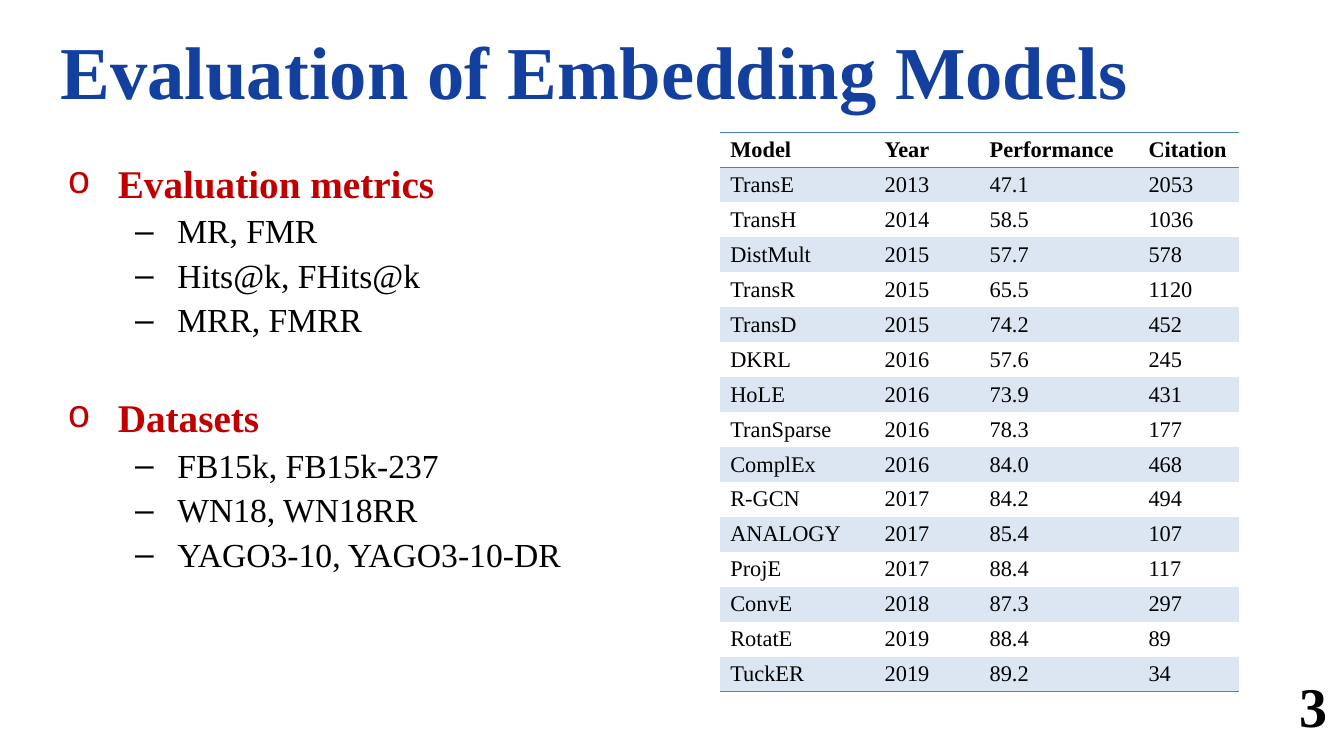
"""Build the slide on the evaluation of embedding models."""
from dataclasses import dataclass
from typing import Any

from lxml.etree import SubElement
from pptx import Presentation
from pptx.dml.color import RGBColor
from pptx.enum.text import MSO_ANCHOR, MSO_AUTO_SIZE, PP_ALIGN
from pptx.oxml.ns import qn
from pptx.util import Pt

BLUE = RGBColor(0x13, 0x40, 0x9F)
RED = RGBColor(0xC0, 0x00, 0x00)
BLACK = RGBColor(0x00, 0x00, 0x00)
RULE = RGBColor(0x4F, 0x81, 0xBD)
BAND = RGBColor(0xDC, 0xE6, 0xF2)
FACE = "Times New Roman"
PLAIN = "{2D5ABB26-0587-4C30-8999-92F81FD0307C}"


@dataclass(frozen=True)
class Style:
    size: float
    color: RGBColor
    bold: bool = False


@dataclass(frozen=True)
class Level:
    style: Style
    depth: int
    mark: str
    face: str
    left: float
    hang: float
    gap: float


@dataclass(frozen=True)
class Group:
    head: str
    items: tuple[str, ...]


TITLE = Style(53.3, BLUE, True)
PAGE = Style(40, BLACK, True)
HEAD = Style(16, BLACK, True)
CELL = Style(16, BLACK)
TOP = Level(Style(28, RED, True), 0, "o", "Courier New", 36, 36, 42)
SUB = Level(Style(24, BLACK), 1, "–", "Arial", 78.5, 30.25, 5.8)

GROUPS = (
    Group("Evaluation metrics", ("MR, FMR", "Hits@k, FHits@k", "MRR, FMRR")),
    Group("Datasets", ("FB15k, FB15k-237", "WN18, WN18RR", "YAGO3-10, YAGO3-10-DR")),
)
WIDTHS = (110.25, 75, 113.5, 72)
HEIGHT = 25
ROWS = (
    ("Model", "Year", "Performance", "Citation"),
    ("TransE", "2013", "47.1", "2053"),
    ("TransH", "2014", "58.5", "1036"),
    ("DistMult", "2015", "57.7", "578"),
    ("TransR", "2015", "65.5", "1120"),
    ("TransD", "2015", "74.2", "452"),
    ("DKRL", "2016", "57.6", "245"),
    ("HoLE", "2016", "73.9", "431"),
    ("TranSparse", "2016", "78.3", "177"),
    ("ComplEx", "2016", "84.0", "468"),
    ("R-GCN", "2017", "84.2", "494"),
    ("ANALOGY", "2017", "85.4", "107"),
    ("ProjE", "2017", "88.4", "117"),
    ("ConvE", "2018", "87.3", "297"),
    ("RotatE", "2019", "88.4", "89"),
    ("TuckER", "2019", "89.2", "34"),
)


def assign(target: Any, values: dict[str, Any]) -> None:
    """Set each named attribute of the target."""
    for name, value in values.items():
        setattr(target, name, value)


def write(para: Any, text: str, style: Style) -> None:
    """Add one styled run to a paragraph."""
    run = para.add_run()
    run.text = text
    assign(run.font, {"name": FACE, "size": Pt(style.size), "bold": style.bold})
    run.font.color.rgb = style.color


def place(shape: Any, left: float, top: float, width: float, height: float) -> Any:
    """Move a shape, fix its frame and return the frame."""
    assign(shape, {"left": Pt(left), "top": Pt(top),
                   "width": Pt(width), "height": Pt(height)})
    frame = shape.text_frame
    assign(frame, {"word_wrap": True, "auto_size": MSO_AUTO_SIZE.NONE})
    return frame


def bullet(para: Any, text: str, level: Level, first: bool) -> None:
    """Write one list line with its own mark and indent."""
    props = para._p.get_or_add_pPr()
    props.set("marL", str(Pt(level.left)))
    props.set("indent", str(-Pt(level.hang)))
    SubElement(props, qn("a:buFont"), typeface=level.face)
    SubElement(props, qn("a:buChar"), char=level.mark)
    assign(para, {"level": level.depth, "line_spacing": 0.9,
                  "space_before": Pt(0 if first else level.gap)})
    write(para, text, level.style)


def fill_list(frame: Any) -> None:
    """Write every group as a heading and its items."""
    lines = [(text, level) for group in GROUPS
             for text, level in [(group.head, TOP), *((item, SUB) for item in group.items)]]
    for spot, (text, level) in enumerate(lines):
        para = frame.add_paragraph() if spot else frame.paragraphs[0]
        bullet(para, text, level, spot == 0)


def border(cell: Any, side: str) -> None:
    """Draw a thin rule on one side of a cell."""
    line = SubElement(cell._tc.get_or_add_tcPr(), qn(f"a:{side}"), w=str(Pt(1)))
    solid = SubElement(line, qn("a:solidFill"))
    SubElement(solid, qn("a:srgbClr"), val=str(RULE))


def fill_cell(cell: Any, text: str, row: int) -> None:
    """Format one table cell by its row."""
    assign(cell, {"margin_left": Pt(7.2), "margin_right": Pt(7.2),
                  "margin_top": Pt(3), "margin_bottom": Pt(3),
                  "vertical_anchor": MSO_ANCHOR.MIDDLE})
    if row == 0:
        border(cell, "lnT")
    if row in (0, len(ROWS) - 1):
        border(cell, "lnB")
    if row % 2:
        cell.fill.solid()
        cell.fill.fore_color.rgb = BAND
    else:
        cell.fill.background()
    write(cell.text_frame.paragraphs[0], text, CELL if row else HEAD)


def add_grid(slide: Any) -> None:
    """Add the table of models."""
    frame = slide.shapes.add_table(len(ROWS), len(WIDTHS), Pt(514.5), Pt(94.5),
                                   Pt(sum(WIDTHS)), Pt(HEIGHT * len(ROWS)))
    grid = frame.table
    assign(grid, {"first_row": False, "horz_banding": False})
    grid._tbl.tblPr.find(qn("a:tableStyleId")).text = PLAIN
    for column, width in zip(grid.columns, WIDTHS):
        column.width = Pt(width)
    for row, texts in enumerate(ROWS):
        grid.rows[row].height = Pt(HEIGHT)
        for col, text in enumerate(texts):
            fill_cell(grid.cell(row, col), text, row)


def main() -> None:
    """Build and save the deck."""
    deck = Presentation()
    assign(deck, {"slide_width": Pt(960), "slide_height": Pt(540)})
    slide = deck.slides.add_slide(deck.slide_layouts[1])

    title = place(slide.shapes.title, 36, 5, 864, 90)
    title.vertical_anchor = MSO_ANCHOR.MIDDLE
    title.paragraphs[0].alignment = PP_ALIGN.LEFT
    write(title.paragraphs[0], "Evaluation of Embedding Models", TITLE)

    fill_list(place(slide.placeholders[1], 41, 113.75, 473.75, 333.25))
    add_grid(slide)

    page = place(slide.shapes.add_textbox(0, 0, 0, 0), 842.5, 476, 113, 53.25)
    page.paragraphs[0].alignment = PP_ALIGN.RIGHT
    write(page.paragraphs[0], "3", PAGE)
    deck.save("out.pptx")


if __name__ == "__main__":
    main()
